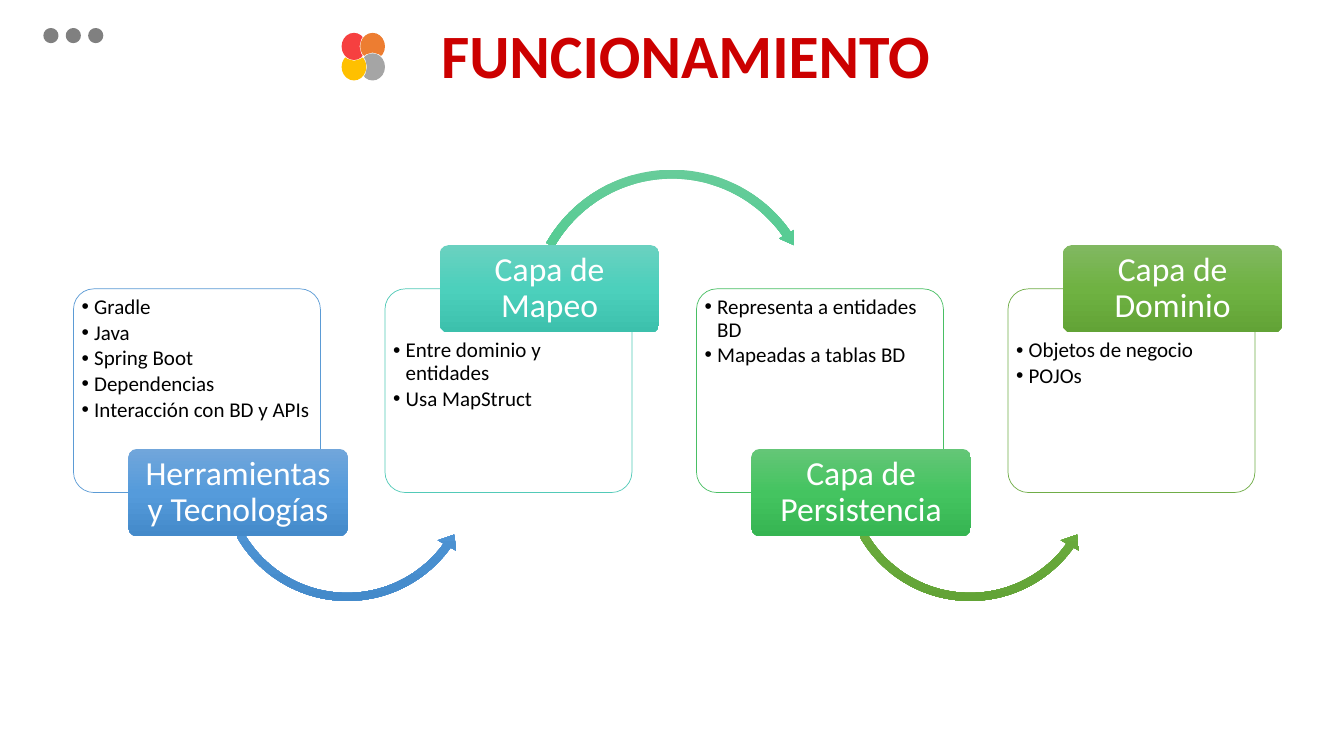
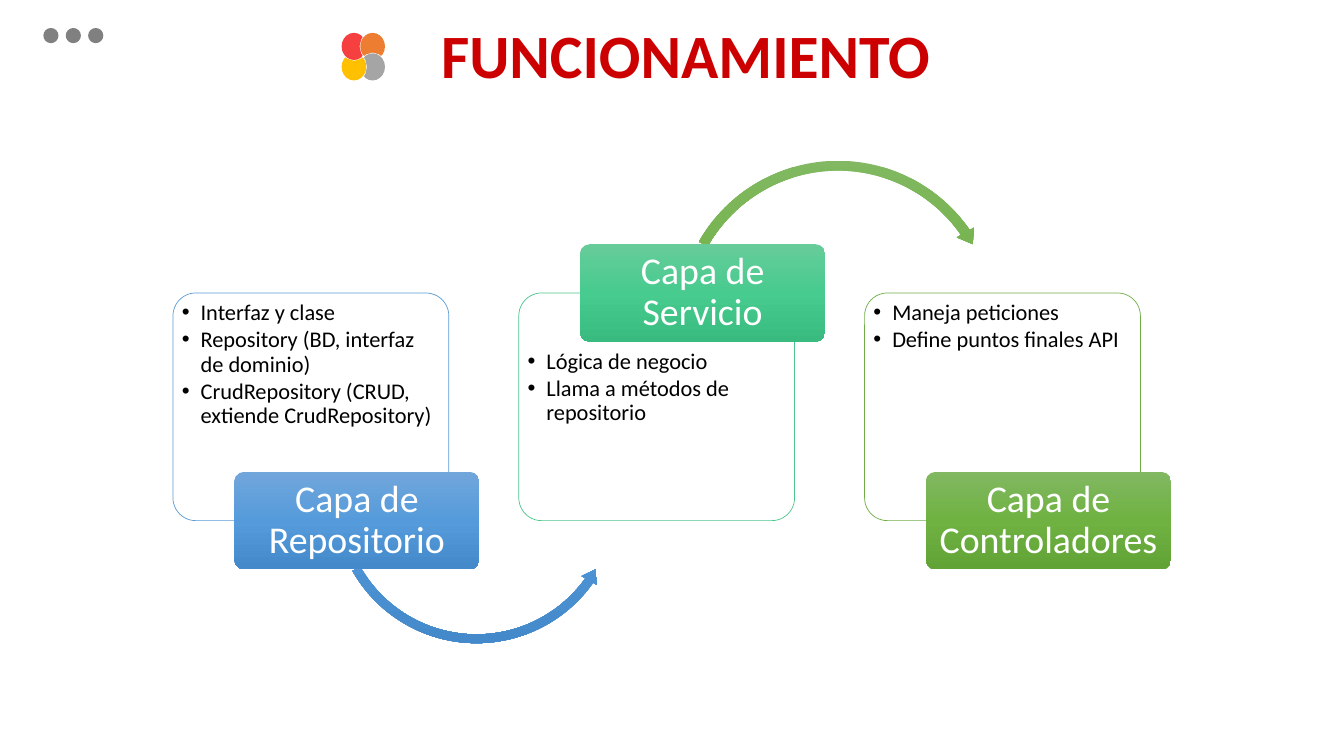
from copy import deepcopy
from dataclasses import dataclass
from math import cos, hypot, radians, sin

from lxml.etree import SubElement
from pptx import Presentation
from pptx.dml.color import RGBColor
from pptx.enum.shapes import MSO_SHAPE
from pptx.enum.text import MSO_ANCHOR, PP_ALIGN
from pptx.oxml.ns import qn
from pptx.util import Pt

FONT = "Calibri"
WHITE = RGBColor(0xFF, 0xFF, 0xFF)
BLACK = RGBColor(0x00, 0x00, 0x00)
TITLE_RED = RGBColor(0xCC, 0x00, 0x00)
DOT_GRAY = RGBColor(0x80, 0x80, 0x80)
RED = RGBColor(0xF6, 0x40, 0x40)
ORANGE = RGBColor(0xED, 0x7D, 0x31)
SILVER = RGBColor(0xA5, 0xA5, 0xA5)
YELLOW = RGBColor(0xFF, 0xC0, 0x00)

# Card outlines
BLUE_LINE = RGBColor(0x5B, 0x9B, 0xD5)
TEAL_LINE = RGBColor(0x52, 0xCA, 0xB8)
MINT_LINE = RGBColor(0x4D, 0xC5, 0x8D)
EMERALD_LINE = RGBColor(0x49, 0xBF, 0x64)
GREEN_LINE = RGBColor(0x70, 0xAD, 0x47)

# Gradients: top, middle, bottom
BLUE = [RGBColor(0x71, 0xA6, 0xDB), RGBColor(0x55, 0x9B, 0xDB), RGBColor(0x44, 0x8A, 0xCA)]
TEAL = [RGBColor(0x6A, 0xD1, 0xC0), RGBColor(0x4C, 0xD0, 0xBC), RGBColor(0x3C, 0xC0, 0xAC)]
MINT = [RGBColor(0x67, 0xCC, 0x9A), RGBColor(0x47, 0xCB, 0x8E), RGBColor(0x39, 0xBB, 0x7F)]
EMERALD = [RGBColor(0x64, 0xC6, 0x77), RGBColor(0x44, 0xC4, 0x60), RGBColor(0x36, 0xB5, 0x52)]
GREEN = [RGBColor(0x81, 0xB8, 0x61), RGBColor(0x6F, 0xB2, 0x42), RGBColor(0x62, 0xA3, 0x36)]


@dataclass
class Arrow:
    """Square box of a curved arrow, centred relative to its card."""
    kind: int
    dx: float  # from the card's left edge
    dy: float  # from the card's middle
    size: float
    adjustments: tuple  # width, head angle, end, start, head size


@dataclass
class Flow:
    left: float
    top: float
    width: float
    height: float
    step: float
    list_size: int
    indent: float
    label_size: int
    label_margins: tuple
    lower: Arrow
    upper: Arrow
    cards: list  # label, items, outline, gradient, arrow gradient


def set_all(target, values):
    for name, value in values.items():
        setattr(target, name, value)


def write(p, text, size, color, bold=False):
    r = p.add_run()
    r.text = text
    set_all(r.font, {"name": FONT, "size": Pt(size), "bold": bold})
    r.font.color.rgb = color
    p.line_spacing = 0.9


def set_margins(tf, left, top, right, bottom):
    set_all(tf, {"margin_left": Pt(left), "margin_top": Pt(top),
                 "margin_right": Pt(right), "margin_bottom": Pt(bottom), "word_wrap": True})


def paint(sp, color, line=None):
    sp.shadow.inherit = False
    if isinstance(color, list):
        sp.fill.gradient()
        sp.fill.gradient_angle = 270
        first = sp._element.spPr.find(".//" + qn("a:gs"))
        first.addnext(deepcopy(first))
        for i, (stop, rgb) in enumerate(zip(sp.fill.gradient_stops, color)):
            stop.position = i / 2
            stop.color.rgb = rgb
    else:
        sp.fill.solid()
        sp.fill.fore_color.rgb = color
    if line is None:
        sp.line.fill.background()
    else:
        sp.line.color.rgb = line
        sp.line.width = Pt(0.5)


def add_shape(s, kind, x, y, w, h, color, line=None):
    sp = s.shapes.add_shape(kind, Pt(x), Pt(y), Pt(w), Pt(h))
    paint(sp, color, line)
    return sp


def ellipse_points(cx, cy, rx, ry, count):
    angles = [radians(360 * i / count) for i in range(count)]
    return [(cx + rx * cos(a), cy + ry * sin(a)) for a in angles]


def add_outline(s, contours, color):
    contours = [[(Pt(x), Pt(y)) for x, y in contour] for contour in contours]
    builder = s.shapes.build_freeform(*contours[0][0])
    for i, contour in enumerate(contours):
        if i:
            builder.move_to(*contour[0])
        builder.add_line_segments(contour[1:], close=True)
    paint(builder.convert_to_shape(), color)


def add_dots(s, x, y, size, step):
    r = size / 2
    add_outline(s, [ellipse_points(x + r + step * i, y + r, r, r, 16) for i in range(3)], DOT_GRAY)


def add_petals(s, x, y, w, h):
    """Four ellipses, clockwise, each one cut by the next."""
    rx, ry = 0.285 * w, 0.285 * h
    centers = [(x + rx, y + ry), (x + w - rx, y + ry),
               (x + w - rx, y + h - ry), (x + rx, y + h - ry)]
    for i, color in enumerate([RED, ORANGE, SILVER, YELLOW]):
        nx, ny = centers[(i + 1) % 4]
        points = []
        for px, py in ellipse_points(*centers[i], rx, ry, 20):
            distance = hypot((px - nx) / rx, (py - ny) / ry)
            push = max(1, 1.06 / distance)
            points.append((nx + (px - nx) * push, ny + (py - ny) * push))
        add_outline(s, [points], color)


def add_header(s, title):
    # Corner dots and petals
    add_dots(s, 31, 20, 10.8, 16)
    add_petals(s, 244, 23.5, 31, 34)
    # Title
    tf = s.shapes.add_textbox(Pt(308), Pt(14.5), Pt(371), Pt(44)).text_frame
    tf.word_wrap = True
    write(tf.paragraphs[0], title, 44, TITLE_RED, bold=True)


def add_list(tf, items, size, indent):
    for i, item in enumerate(items):
        p = tf.paragraphs[0] if i == 0 else tf.add_paragraph()
        p.alignment = PP_ALIGN.LEFT
        p.space_after = Pt(0.15 * size)
        pPr = p._p.get_or_add_pPr()
        pPr.set("marL", str(Pt(indent)))
        pPr.set("indent", str(-Pt(indent)))
        SubElement(pPr, qn("a:buFont")).set("typeface", "Arial")
        SubElement(pPr, qn("a:buChar")).set("char", "•")
        write(p, item, size, BLACK)


def add_arrow(s, arrow, x, middle, colors):
    half = arrow.size / 2
    sp = add_shape(s, arrow.kind, x + arrow.dx - half, middle + arrow.dy - half,
                   arrow.size, arrow.size, colors)
    for i, value in enumerate(arrow.adjustments):
        sp.adjustments[i] = value


def add_card(s, flow, index):
    label, items, outline, colors, arrow_colors = flow.cards[index]
    label_on_top = index % 2 == 1
    x, y, w, h = flow.left + index * flow.step, flow.top, flow.width, flow.height
    # Card with its list
    card = add_shape(s, MSO_SHAPE.ROUNDED_RECTANGLE, x, y, w, h, WHITE, outline)
    card.adjustments[0] = 0.1
    tf = card.text_frame
    tf.vertical_anchor = MSO_ANCHOR.TOP
    covered = h * 3 / 14
    set_margins(tf, 1.5, 1 + covered * label_on_top, 1.5, 1 + covered * (not label_on_top))
    add_list(tf, items, flow.list_size, flow.indent)
    # Arrow to the next card
    if arrow_colors:
        add_arrow(s, flow.upper if label_on_top else flow.lower, x, y + h / 2, arrow_colors)
    # Label centred on the card's upper or lower edge
    edge = y if label_on_top else y + h
    tile = add_shape(s, MSO_SHAPE.ROUNDED_RECTANGLE, x + w * 2 / 9, edge - covered,
                     w * 8 / 9, covered * 2, colors)
    tile.adjustments[0] = 0.1
    tf = tile.text_frame
    tf.vertical_anchor = MSO_ANCHOR.MIDDLE
    set_margins(tf, *flow.label_margins * 2)
    p = tf.paragraphs[0]
    p.alignment = PP_ALIGN.CENTER
    write(p, label, flow.label_size, WHITE)


def add_flow_slide(prs, flow):
    s = prs.slides.add_slide(prs.slide_layouts[6])
    add_header(s, "FUNCIONAMIENTO")
    for index in range(len(flow.cards)):
        add_card(s, flow, index)


LEFT_ARROW, RIGHT_ARROW = MSO_SHAPE.LEFT_CIRCULAR_ARROW, MSO_SHAPE.CIRCULAR_ARROW

FLOWS = [
    Flow(
        left=52.5, top=206.3, width=176.4, height=145.5, step=222.5,
        list_size=15, indent=9, label_size=24, label_margins=(3.6, 2.4),
        lower=Arrow(LEFT_ARROW, 195.5, 59.5, 191, (0.03, 3.63, 21.38, 90.25, 0.04)),
        upper=Arrow(RIGHT_ARROW, 205, -54.5, 213, (0.03, 3.22, 195.03, 125.76, 0.03)),
        cards=[
            ("Herramientas y Tecnologías",
             ["Gradle", "Java", "Spring Boot", "Dependencias", "Interacción con BD y APIs"],
             BLUE_LINE, BLUE, BLUE),
            ("Capa de Mapeo", ["Entre dominio y entidades", "Usa MapStruct"],
             TEAL_LINE, TEAL, MINT),
            ("Capa de Persistencia", ["Representa a entidades BD", "Mapeadas a tablas BD"],
             EMERALD_LINE, EMERALD, GREEN),
            ("Capa de Dominio", ["Objetos de negocio", "POJOs"], GREEN_LINE, GREEN, None),
        ]),
    Flow(
        left=123.6, top=209.3, width=197, height=162.6, step=247,
        list_size=16, indent=13.5, label_size=27, label_margins=(4, 2.7),
        lower=Arrow(LEFT_ARROW, 216.8, 67, 210, (0.03, 3.44, 21.2, 90.25, 0.03)),
        upper=Arrow(RIGHT_ARROW, 228, -61.5, 235.5, (0.03, 3.05, 195.19, 125.76, 0.03)),
        cards=[
            ("Capa de Repositorio",
             ["Interfaz y clase", "Repository (BD, interfaz de dominio)",
              "CrudRepository (CRUD, extiende CrudRepository)"],
             BLUE_LINE, BLUE, BLUE),
            ("Capa de Servicio", ["Lógica de negocio", "Llama a métodos de repositorio"],
             MINT_LINE, MINT, GREEN),
            ("Capa de Controladores", ["Maneja peticiones", "Define puntos finales API"],
             GREEN_LINE, GREEN, None),
        ]),
]


def main():
    prs = Presentation()
    set_all(prs, {"slide_width": Pt(960), "slide_height": Pt(540)})
    for flow in FLOWS:
        add_flow_slide(prs, flow)
    prs.save("out.pptx")


if __name__ == "__main__":
    main()
